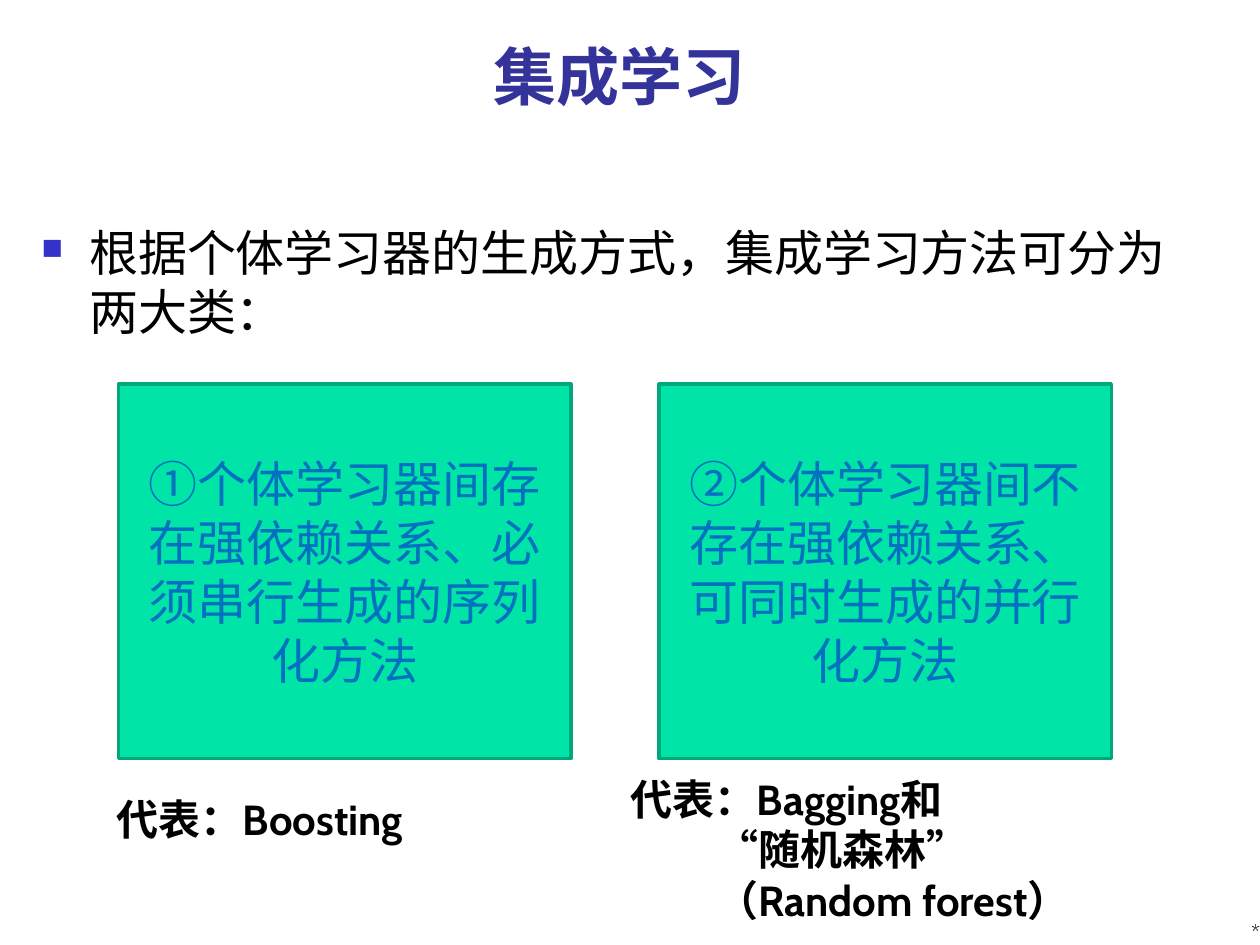
from dataclasses import dataclass

from pptx import Presentation
from pptx.dml.color import RGBColor
from pptx.enum.shapes import MSO_SHAPE as Shape
from pptx.enum.text import MSO_ANCHOR as Anchor, MSO_AUTO_SIZE as AutoSize, PP_ALIGN as Align
from pptx.oxml import parse_xml
from pptx.oxml.ns import nsdecls
from pptx.slide import Slide
from pptx.util import Inches, Pt

BLACK = RGBColor(0x00, 0x00, 0x00)
NAVY = RGBColor(0x33, 0x33, 0x99)
BLUE = RGBColor(0x00, 0x70, 0xC0)
MINT = RGBColor(0x00, 0xE4, 0xA8)
GREEN = RGBColor(0x00, 0xA7, 0x7A)
BULLET = "3333CC"


def write(paragraph, text, *, font="Cabin", size=24, color=BLACK, bold=False,
          align=Align.LEFT, indent=0, bullet=False):
    """Put formatted text into a paragraph."""
    properties = paragraph._p.get_or_add_pPr()
    if indent:
        properties.set("marL", str(Inches(indent)))
    if bullet:
        properties.set("indent", str(-Inches(indent)))
        for element in (
            f'<a:buClr {nsdecls("a")}><a:srgbClr val="{BULLET}"/></a:buClr>',
            f'<a:buSzPct {nsdecls("a")} val="60000"/>',
            f'<a:buChar {nsdecls("a")} char="■"/>',
        ):
            properties.append(parse_xml(element))
    paragraph.alignment = align
    run = paragraph.add_run()
    run.text = text
    run.font.name = font
    run.font.size = Pt(size)
    run.font.bold = bold
    run.font.color.rgb = color


@dataclass
class Deck:
    """The style and the current slide."""
    slide: Slide
    fill: RGBColor = MINT
    line: RGBColor = GREEN
    card_text: RGBColor = BLUE

    def text(self, left, top, width, height, text, *, anchor=Anchor.TOP, **style):
        box = self.slide.shapes.add_textbox(
            Inches(left), Inches(top), Inches(width), Inches(height))
        frame = box.text_frame
        frame.word_wrap = True
        frame.vertical_anchor = anchor
        write(frame.paragraphs[0], text, **style)
        return frame

    def caption(self, left, top, width, height, first, *others, indent=0):
        frame = self.text(left, top, width, height, first, bold=True)
        frame.word_wrap = False
        frame.auto_size = AutoSize.SHAPE_TO_FIT_TEXT
        for line in others:
            write(frame.add_paragraph(), line, bold=True, indent=indent)

    def card(self, left, top, width, height, text):
        shape = self.slide.shapes.add_shape(
            Shape.RECTANGLE, Inches(left), Inches(top), Inches(width), Inches(height))
        shape.shadow.inherit = False
        shape.fill.solid()
        shape.fill.fore_color.rgb = self.fill
        shape.line.color.rgb = self.line
        shape.line.width = Pt(2)
        frame = shape.text_frame
        frame.word_wrap = True
        frame.vertical_anchor = Anchor.MIDDLE
        write(frame.paragraphs[0], text, size=28, color=self.card_text, align=Align.CENTER)


def main():
    presentation = Presentation()
    presentation.slide_width = Inches(10)
    presentation.slide_height = Inches(7.5)
    deck = Deck(presentation.slides.add_slide(presentation.slide_layouts[6]))

    # Footer mark
    footer = deck.text(7.92, 7.08, 2.08, 0.42, "*", anchor=Anchor.BOTTOM,
                       size=12, align=Align.RIGHT)
    footer.margin_left = footer.margin_right = Inches(0)
    footer.margin_top = footer.margin_bottom = Inches(0)

    # Title and introduction
    deck.text(0.17, 0.03, 9.5, 0.92, "集成学习", anchor=Anchor.BOTTOM, font="Roboto",
              size=36, color=NAVY, bold=True, align=Align.CENTER)
    deck.text(0.23, 1.72, 9.5, 4.95, "根据个体学习器的生成方式，集成学习方法可分为两大类：",
              font="Calibri", size=28, indent=0.38, bullet=True)

    # The two families of methods
    families = ("①个体学习器间存在强依赖关系、必须串行生成的序列化方法",
                "②个体学习器间不存在强依赖关系、可同时生成的并行化方法")
    for column, text in enumerate(families):
        deck.card(0.94 + column * 4.29, 3.05, 3.59, 2.97, text)

    # Typical algorithms
    deck.caption(0.83, 6.25, 2.76, 0.5, "代表：Boosting")
    deck.caption(4.91, 6.09, 4.27, 1.3, "代表：Bagging和", "“随机森林”",
                 "（Random forest）", indent=0.68)

    presentation.save("out.pptx")


if __name__ == "__main__":
    main()
